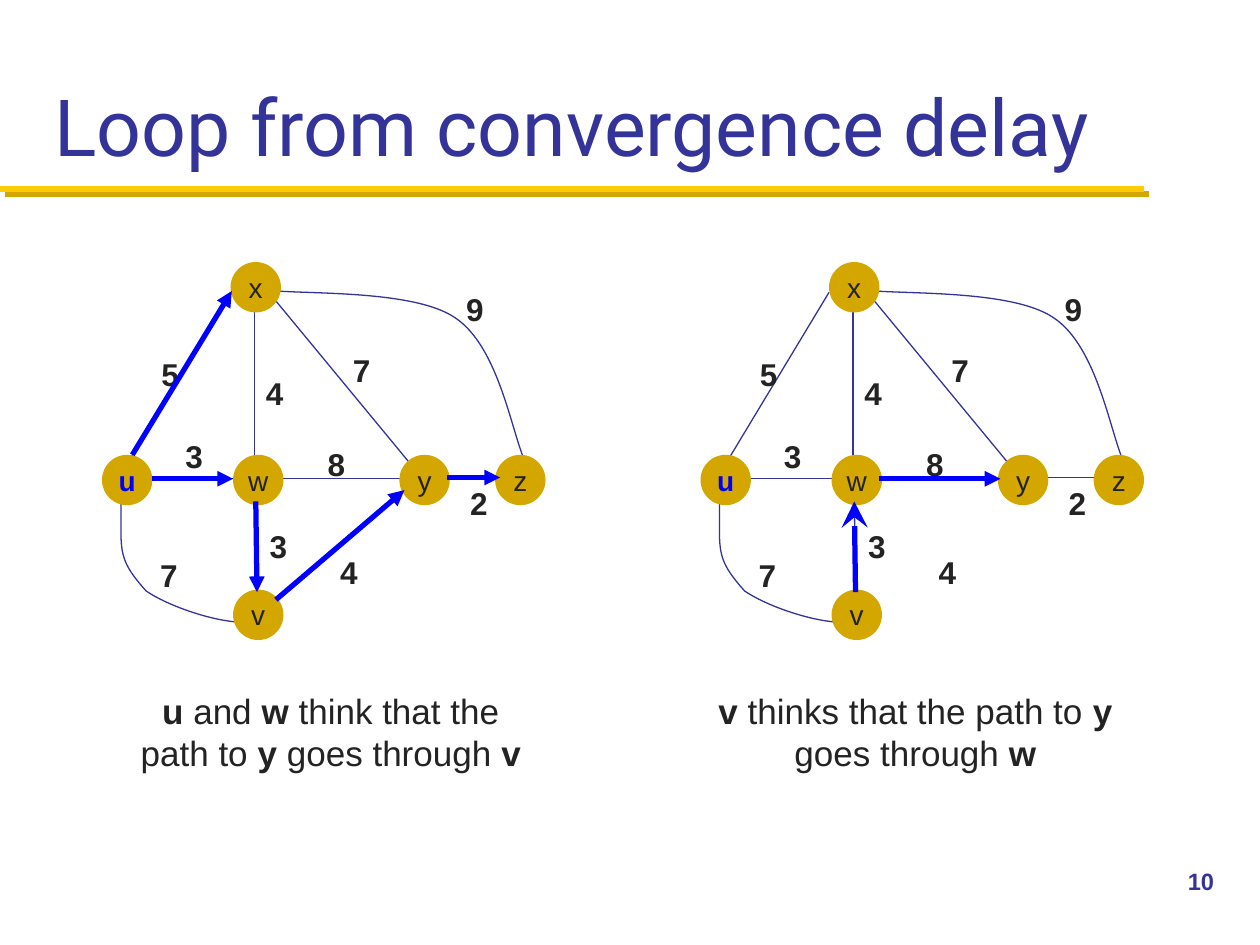
from lxml import etree
from pptx import Presentation
from pptx.dml.color import RGBColor
from pptx.enum.shapes import MSO_CONNECTOR as CONN, MSO_SHAPE as SHAPE
from pptx.enum.text import MSO_ANCHOR as ANCHOR, MSO_AUTO_SIZE as AUTO, PP_ALIGN as ALIGN
from pptx.oxml.ns import qn
from pptx.util import Inches, Pt

NAVY = RGBColor(0x33, 0x33, 0x99)
BLUE = RGBColor(0x00, 0x00, 0xFF)
INK = RGBColor(0x23, 0x23, 0x23)
GOLD = RGBColor(0xD3, 0xA6, 0x00)
YELLOW = RGBColor(0xFF, 0xCB, 0x05)

NODE = 0.4      # node diameter
PITCH = 4.75    # distance between the two graphs

# Geometry of one graph, in inches
NODES = {"x": (1.83, 2.08), "u": (0.81, 3.61), "z": (3.93, 3.61),
         "v": (1.85, 4.68), "y": (3.17, 3.61), "w": (1.85, 3.61)}
EDGES = [(1.13, 3.8, 1.93, 3.8), (2.02, 2.4, 2.02, 3.66), (1.83, 2.32, 0.98, 3.73),
         (2.03, 3.87, 2.04, 4.79), (3.55, 3.79, 3.99, 3.79), (2.1, 2.28, 3.33, 3.77),
         (2.23, 3.8, 3.19, 3.8)]
# Each curve is a chain of cubic Bezier segments
CURVES = [[(0.96, 3.89), (0.97, 4.37), (0.91, 4.41), (1.16, 4.69),
           (1.41, 4.86), (1.97, 5.01), (2.05, 4.9)],
          [(2.1, 2.3), (2.36, 2.34), (3.27, 2.29), (3.61, 2.52),
           (3.96, 2.75), (4.06, 3.43), (4.17, 3.67)]]
COSTS = [("3", 1.37, 3.42), ("4", 2.01, 2.92), ("5", 1.18, 2.77), ("3", 2.04, 4.13),
         ("7", 1.17, 4.36), ("4", 2.6, 4.34), ("8", 2.5, 3.48), ("2", 3.63, 3.79),
         ("7", 2.7, 2.74), ("9", 3.6, 2.25)]

# Arrowhead: kind and size
PLAIN = {"type": "triangle"}
BARBED = {"type": "stealth", "w": "lg", "len": "lg"}

# Per graph: route arrows with their arrowhead, caption left, caption parts (even ones bold)
GRAPHS = [
    ([(3.55, 3.79, 3.97, 3.79, PLAIN), (2.03, 3.98, 2.04, 4.7, PLAIN),
      (1.05, 3.61, 1.84, 2.31, PLAIN), (1.21, 3.8, 1.85, 3.8, PLAIN),
      (2.19, 4.76, 3.21, 3.89, PLAIN)],
     0.92, ["u", " and ", "w", " think that the path to ", "y", " goes through ", "v"]),
    ([(2.23, 3.8, 3.19, 3.8, PLAIN), (2.04, 4.7, 2.03, 3.98, BARBED)],
     5.56, ["v", " thinks that the path to ", "y", " goes through ", "w"]),
]


def add_line(shapes, x1, y1, x2, y2, color, width, head=None):
    s = shapes.add_connector(CONN.STRAIGHT, Inches(x1), Inches(y1), Inches(x2), Inches(y2))
    s.line.color.rgb = color
    s.line.width = Pt(width)
    if head:
        etree.SubElement(s.line._get_or_add_ln(), qn("a:tailEnd"), head)
    return etree.SubElement(s._element.spPr, qn("a:effectLst"))


def add_run(p, text, size, color, bold=False, font="Arial"):
    r = p.add_run()
    r.text = text
    r.font.size, r.font.name, r.font.bold = Pt(size), font, bold
    r.font.color.rgb = color


prs = Presentation()
prs.slide_width, prs.slide_height = Inches(10), Inches(7.5)
slide = prs.slides.add_slide(prs.slide_layouts[5])

# Title rule with its offset shadow
effects = add_line(slide.shapes, 0, 1.5, 9.08, 1.5, YELLOW, 3.5)
shadow = etree.SubElement(effects, qn("a:outerShdw"), dist=str(Pt(4.2)), dir="2700000",
                          algn="ctr", rotWithShape="0")
etree.SubElement(shadow, qn("a:srgbClr"), val=str(GOLD))

# Title
title = slide.shapes.title
title.left, title.top, title.width, title.height = map(Inches, (0.33, 0.17, 9.33, 1.25))
tf = title.text_frame
tf.auto_size, tf.vertical_anchor = AUTO.NONE, ANCHOR.BOTTOM
tf.paragraphs[0].alignment = ALIGN.LEFT
add_run(tf.paragraphs[0], "Loop from convergence delay", 45, NAVY, font="Roboto")

# Page number
s = slide.shapes.add_textbox(Inches(9.33), Inches(6.83), Inches(0.67), Inches(0.5))
s.text_frame.word_wrap = True
add_run(s.text_frame.paragraphs[0], "10", 13.5, NAVY, True)

for i, (arrows, caption_left, caption) in enumerate(GRAPHS):
    dx = i * PITCH
    shapes = slide.shapes.add_group_shape().shapes

    # Links
    for x1, y1, x2, y2 in EDGES:
        add_line(shapes, x1 + dx, y1, x2 + dx, y2, NAVY, 0.75)
    for curve in CURVES:
        points = [(Inches(x + dx), Inches(y)) for x, y in curve]
        builder = shapes.build_freeform(*points[0])
        builder.add_line_segments(points[1:], close=False)
        s = builder.convert_to_shape()
        s.shadow.inherit = False
        s.fill.background()
        s.line.color.rgb = NAVY
        s.line.width = Pt(0.75)
        # Every three points become one cubic segment
        steps = list(s._element.iter(qn("a:lnTo")))
        for k in range(0, len(steps), 3):
            bezier = etree.Element(qn("a:cubicBezTo"))
            steps[k].addprevious(bezier)
            for step in steps[k:k + 3]:
                bezier.append(step[0])
                step.getparent().remove(step)

    # Link costs
    for cost, x, y in COSTS:
        s = shapes.add_textbox(Inches(x + dx), Inches(y), Inches(0.27), Inches(0.32))
        tf = s.text_frame
        tf.word_wrap = False
        tf.margin_left, tf.margin_right = Inches(0.07), 0
        tf.paragraphs[0].alignment = ALIGN.CENTER
        add_run(tf.paragraphs[0], cost, 18, INK, True)

    # Nodes
    for name, (x, y) in NODES.items():
        s = shapes.add_shape(SHAPE.OVAL, Inches(x + dx), Inches(y), Inches(NODE), Inches(NODE))
        s.shadow.inherit = False
        s.fill.solid()
        s.fill.fore_color.rgb = GOLD
        s.line.fill.background()
        tf = s.text_frame
        tf.word_wrap, tf.vertical_anchor = False, ANCHOR.MIDDLE
        tf.paragraphs[0].alignment = ALIGN.CENTER
        source = name == "u"
        add_run(tf.paragraphs[0], name, 16, BLUE if source else INK, source)

    # Chosen routes
    for x1, y1, x2, y2, head in arrows:
        add_line(shapes, x1 + dx, y1, x2 + dx, y2, BLUE, 3, head)

    # Caption
    s = slide.shapes.add_textbox(Inches(caption_left), Inches(5.42), Inches(3.41), Inches(0.77))
    s.text_frame.word_wrap = True
    p = s.text_frame.paragraphs[0]
    p.alignment = ALIGN.CENTER
    for k, part in enumerate(caption):
        add_run(p, part, 20, INK, k % 2 == 0)

prs.save("out.pptx")
